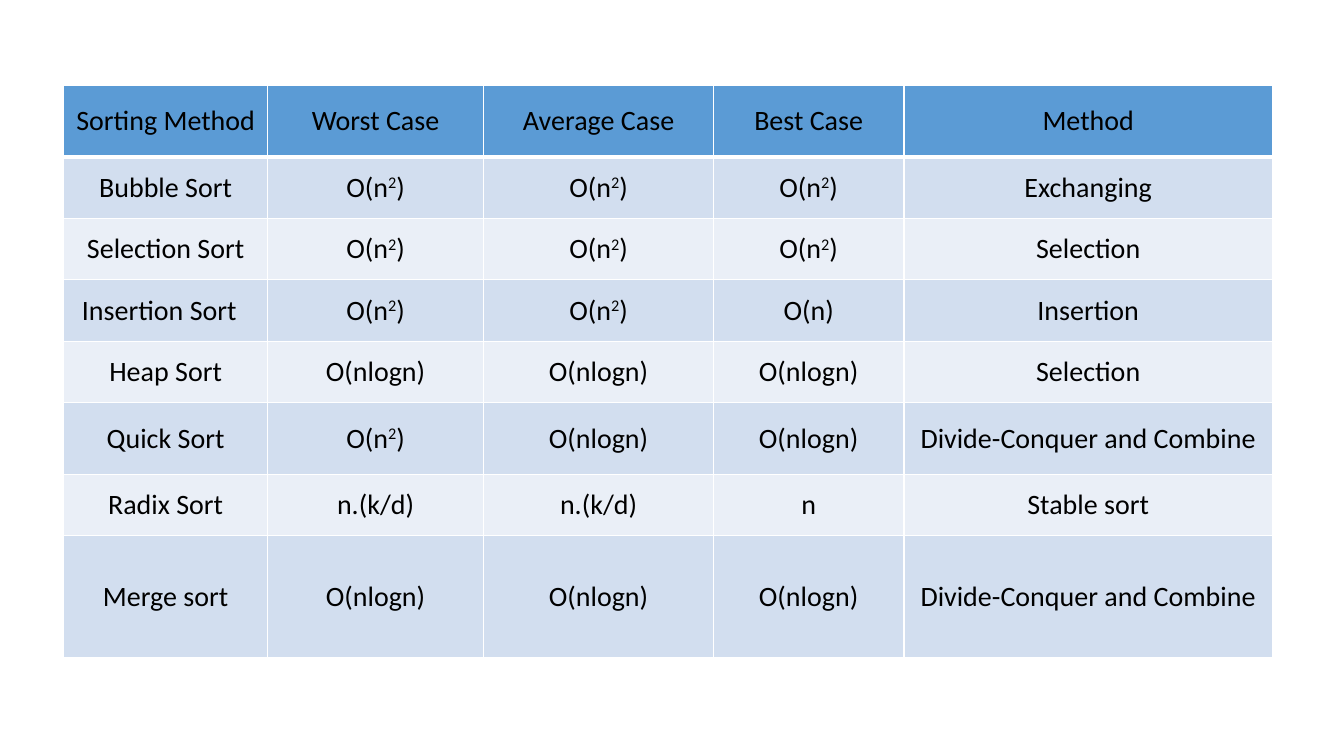
from dataclasses import dataclass

from lxml import etree
from pptx import Presentation
from pptx.dml.color import RGBColor
from pptx.enum import text
from pptx.oxml import ns
from pptx.table import Table, _Cell
from pptx.util import Cm, Length, Pt


@dataclass(frozen=True)
class Theme:
    header: RGBColor = RGBColor.from_string("5B9BD5")
    odd_row: RGBColor = RGBColor.from_string("D2DEEF")
    even_row: RGBColor = RGBColor.from_string("EAEFF7")
    ink: RGBColor = RGBColor.from_string("000000")
    border: str = "FFFFFF"
    font: str = "Calibri"
    size: Length = Pt(20)
    spacing: Length = Pt(6)
    thin: Length = Pt(1)
    thick: Length = Pt(3)
    side_inset: Length = Cm(0.15)
    edge_inset: Length = Cm(0.1)


@dataclass(frozen=True)
class Piece:
    wording: str
    raised: bool = False


Pieces = tuple[Piece, ...]


@dataclass(frozen=True)
class SortRow:
    name: str
    worst: Pieces
    average: Pieces
    best: Pieces
    method: str
    height: Length = Cm(1.55)
    name_shift: Length = Cm(0)

    def cells(self) -> tuple[Pieces, ...]:
        return plain(self.name), self.worst, self.average, self.best, plain(self.method)


def plain(wording: str) -> Pieces:
    return (Piece(wording),)


THEME = Theme()
LINEAR = plain("O(n)")
LOGARITHMIC = plain("O(nlogn)")
QUADRATIC = (Piece("O(n"), Piece("2", raised=True), Piece(")"))
DIGITS = plain("n.(k/d)")
DIVIDE = "Divide-Conquer and Combine"
TALL = Cm(1.8)
COLUMN_WIDTHS = (Cm(5.13), Cm(5.45), Cm(5.79), Cm(4.8), Cm(9.29))

ROWS = (
    SortRow("Sorting Method", plain("Worst Case"), plain("Average Case"),
            plain("Best Case"), "Method", TALL),
    SortRow("Bubble Sort", QUADRATIC, QUADRATIC, QUADRATIC, "Exchanging"),
    SortRow("Selection Sort", QUADRATIC, QUADRATIC, QUADRATIC, "Selection"),
    SortRow("Insertion Sort", QUADRATIC, QUADRATIC, LINEAR, "Insertion", name_shift=Cm(0.32)),
    SortRow("Heap Sort", LOGARITHMIC, LOGARITHMIC, LOGARITHMIC, "Selection"),
    SortRow("Quick Sort", QUADRATIC, LOGARITHMIC, LOGARITHMIC, DIVIDE, TALL),
    SortRow("Radix Sort", DIGITS, DIGITS, plain("n"), "Stable sort"),
    SortRow("Merge sort", LOGARITHMIC, LOGARITHMIC, LOGARITHMIC, DIVIDE, Cm(3.08)),
)


def write_cell(cell: _Cell, pieces: Pieces, fill: RGBColor) -> None:
    cell.fill.solid()
    cell.fill.fore_color.rgb = fill
    cell.vertical_anchor = text.MSO_ANCHOR.MIDDLE
    cell.margin_left = cell.margin_right = THEME.side_inset
    cell.margin_top = cell.margin_bottom = THEME.edge_inset
    paragraph = cell.text_frame.paragraphs[0]
    paragraph.alignment = text.PP_ALIGN.CENTER
    paragraph.space_before = paragraph.space_after = THEME.spacing
    for piece in pieces:
        run = paragraph.add_run()
        run.text = piece.wording
        run.font.name = THEME.font
        run.font.size = THEME.size
        run.font.bold = False
        run.font.color.rgb = THEME.ink
        if piece.raised:
            run._r.get_or_add_rPr().set("baseline", "30000")


def add_header_borders(cell: _Cell) -> None:
    properties = cell._tc.get_or_add_tcPr()
    for position, side in enumerate(("L", "R", "T", "B")):
        width = THEME.thick if side == "B" else THEME.thin
        line = etree.Element(ns.qn(f"a:ln{side}"), w=str(width))
        fill = etree.SubElement(line, ns.qn("a:solidFill"))
        etree.SubElement(fill, ns.qn("a:srgbClr"), val=THEME.border)
        properties.insert(position, line)


def fill_table(table: Table) -> None:
    for column, width in zip(table.columns, COLUMN_WIDTHS):
        column.width = width
    for index, sort_row in enumerate(ROWS):
        table.rows[index].height = sort_row.height
        band = THEME.odd_row if index % 2 else THEME.even_row
        for cell, pieces in zip(table.rows[index].cells, sort_row.cells()):
            write_cell(cell, pieces, band if index else THEME.header)
            if index == 0:
                add_header_borders(cell)
        table.cell(index, 0).margin_right = THEME.side_inset + sort_row.name_shift


def main() -> None:
    presentation = Presentation()
    presentation.slide_width = Cm(33.87)
    presentation.slide_height = Cm(19.05)
    slide = presentation.slides.add_slide(presentation.slide_layouts[6])
    shape = slide.shapes.add_table(
        len(ROWS), len(COLUMN_WIDTHS), Cm(1.61), Cm(2.15),
        sum(COLUMN_WIDTHS), sum(row.height for row in ROWS),
    )
    fill_table(shape.table)
    presentation.save("out.pptx")


if __name__ == "__main__":
    main()
